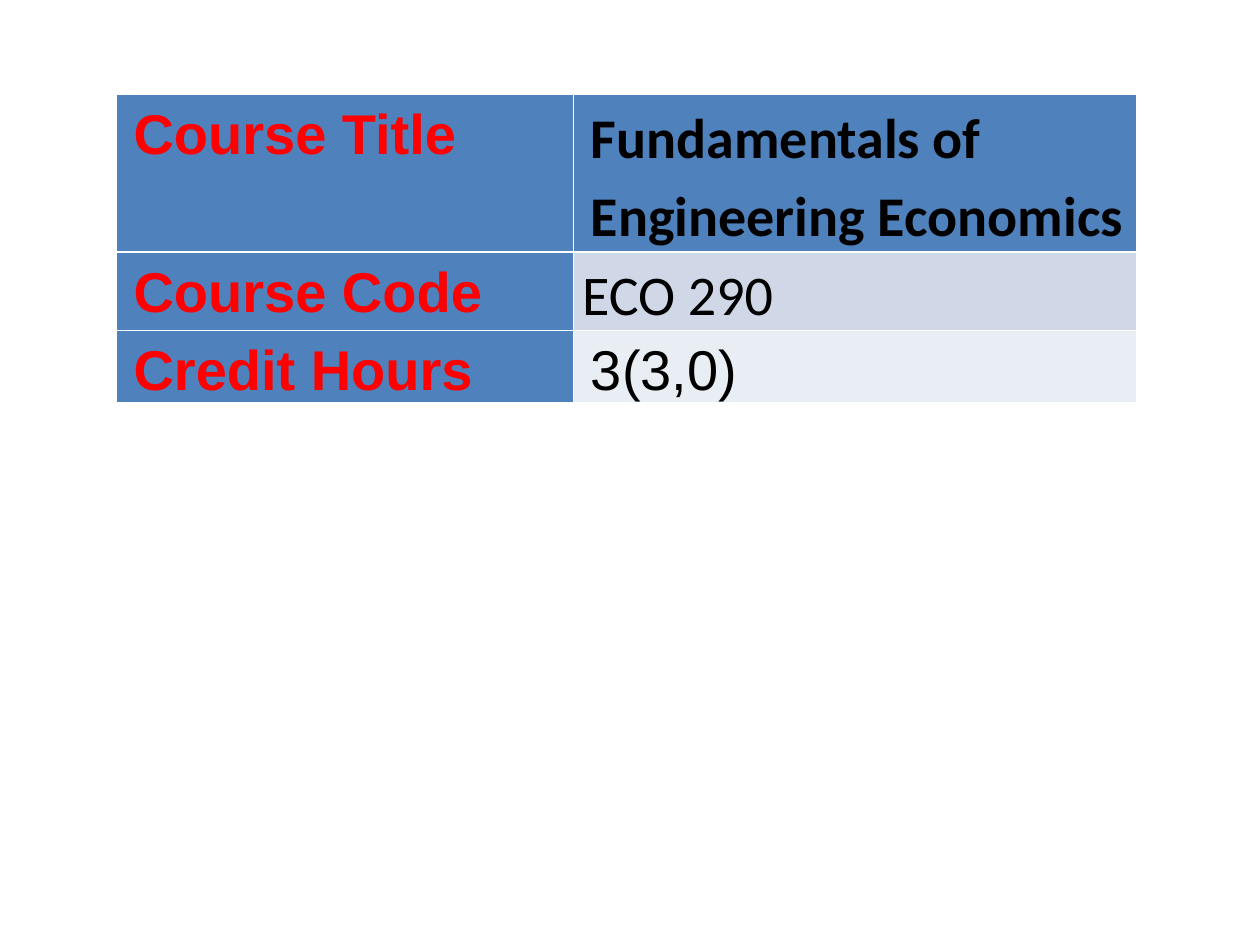
from pptx import Presentation
from pptx.dml.color import RGBColor
from pptx.util import Inches, Pt

COLORS = {"header": "4F81BD", "band": "D0D8E8", "light": "E9EDF4",
          "label": "FF0000", "value": "000000"}

prs = Presentation()
prs.slide_width, prs.slide_height = Inches(10), Inches(7.5)
s = prs.slides.add_slide(prs.slide_layouts[6])

# Course table: label, value, value font, value bold, value fill, value indent
rows = [
    ("Course Title", "Fundamentals of Engineering Economics", "Calibri", True, "header", 0.07),
    ("Course Code", "ECO 290", "Calibri", False, "band", 0),
    ("Credit Hours", "3(3,0)", "Arial", False, "light", 0.07),
]
col_widths = [3.63, 4.47]
row_heights = [1.23, 0.62, 0.57]

table = s.shapes.add_table(len(rows), 2, Inches(0.92), Inches(0.75),
                           Inches(sum(col_widths)), Inches(sum(row_heights))).table
table.first_col = True  # the table style draws the white rules
for col, width in zip(table.columns, col_widths):
    col.width = Inches(width)
for row, height in zip(table.rows, row_heights):
    row.height = Inches(height)

margins = {"margin_left": Inches(0.07), "margin_right": Inches(0.07),
           "margin_top": 0, "margin_bottom": 0}

# Cell text and fills
for i, (label, value, font, bold, fill, indent) in enumerate(rows):
    cells = [(label, "Arial", True, "label", "header", 0.07),
             (value, font, bold, "value", fill, indent)]
    for j, (words, name, is_bold, color, back, left) in enumerate(cells):
        cell = table.cell(i, j)
        for key, val in margins.items():
            setattr(cell, key, val)
        cell.fill.solid()
        cell.fill.fore_color.rgb = RGBColor.from_string(COLORS[back])
        p = cell.text_frame.paragraphs[0]
        p.line_spacing = 1.15
        p._p.get_or_add_pPr().set("marL", str(Inches(left)))
        r = p.add_run()
        r.text = words
        for key, val in {"name": name, "size": Pt(32), "bold": is_bold}.items():
            setattr(r.font, key, val)
        r.font.color.rgb = RGBColor.from_string(COLORS[color])

prs.save("out.pptx")
